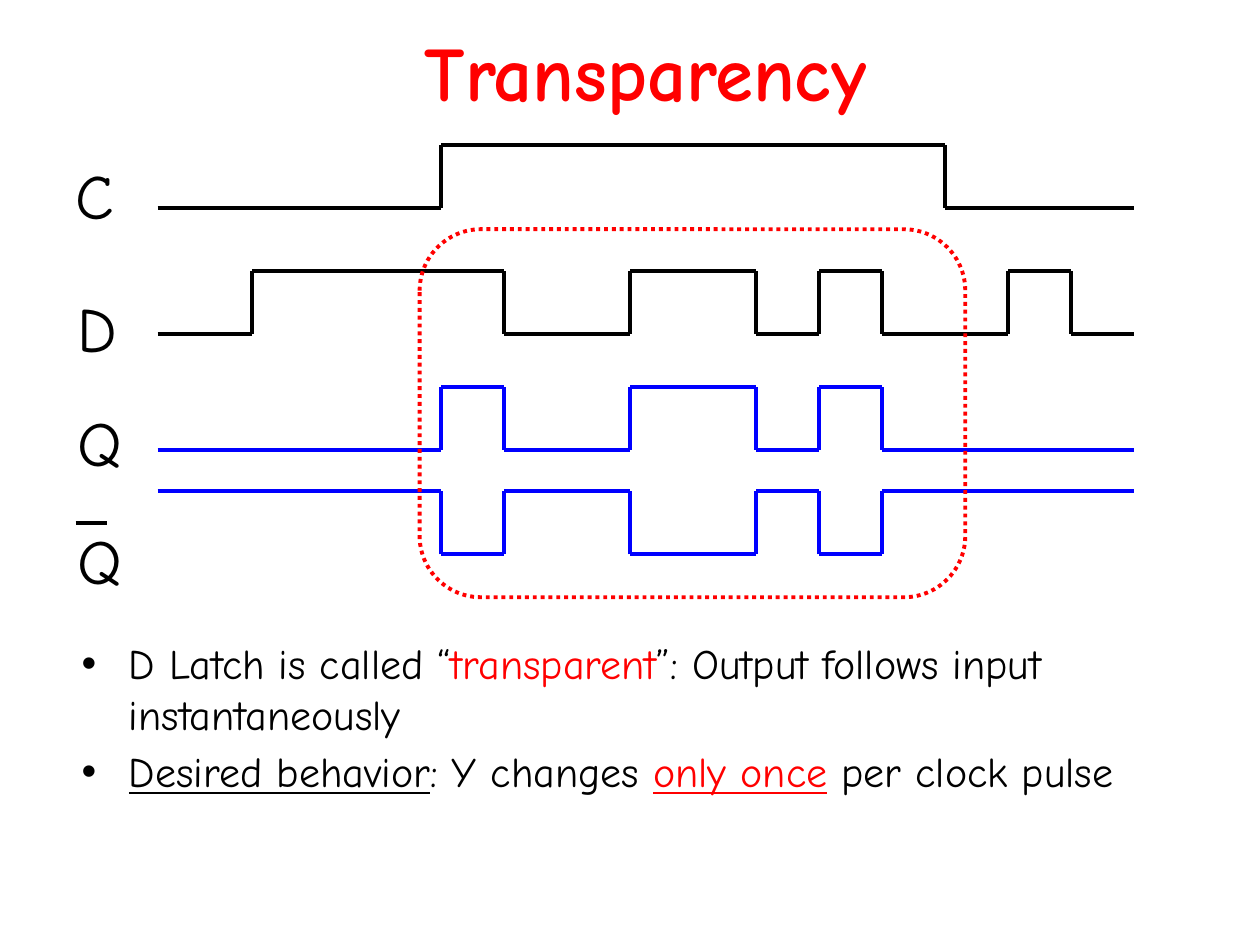
from dataclasses import dataclass
from itertools import pairwise
from lxml import etree
from pptx import Presentation
from pptx.dml.color import RGBColor as Rgb
from pptx.enum import dml, shapes as sh, text as tx
from pptx.oxml import ns
from pptx.util import Pt


@dataclass(frozen=True)
class Theme:
    font: str = "Comic Neue"
    ink: Rgb = Rgb(0, 0, 0)
    red: Rgb = Rgb(255, 0, 0)
    blue: Rgb = Rgb(0, 0, 255)
    head: int = 44
    label: int = 36
    body: int = 24
    line: float = 2.25


T = Theme()


def style(font, size, color):
    font.name, font.size = T.font, Pt(size)
    font.color.rgb = color


def frame(host, box, wrap=True):
    area = host.add_textbox(*map(Pt, box)).text_frame
    area.word_wrap = wrap
    return area


def stroke(host, x1, y1, x2, y2, color):
    line = host.add_connector(sh.MSO_CONNECTOR.STRAIGHT, *map(Pt, (x1, y1, x2, y2)))
    line.line.color.rgb = color
    line.line.width = Pt(T.line)
    etree.SubElement(line._element.spPr, ns.qn("a:effectLst"))


def title(host, box, words):
    area = frame(host, box)
    area.vertical_anchor = tx.MSO_ANCHOR.MIDDLE
    para = area.paragraphs[0]
    para.text = words
    para.alignment = tx.PP_ALIGN.CENTER
    style(para.font, T.head, T.red)
    para.font.bold = True


def label(host, box, name):
    area = frame(host, box, False)
    area.auto_size = tx.MSO_AUTO_SIZE.SHAPE_TO_FIT_TEXT
    para = area.paragraphs[0]
    para.text = name
    style(para.font, T.label, T.ink)


def barred(host, box, name):
    group = host.add_group_shape().shapes
    label(group, box, name)
    left, top = box[0] + 5.8, box[1] + 4.3
    stroke(group, left, top, left + 18, top, T.ink)


def wave(host, box, edges, color, high=False):
    left, top, width, height = box
    levels = (top + height, top)
    stops = [left, *(edge * 72 for edge in edges), left + width]
    for start, end in pairwise(stops):
        stroke(host, start, levels[high], end, levels[high], color)
        if end != stops[-1]:
            stroke(host, end, levels[0], end, levels[1], color)
        high = not high


def window(host, box):
    shape = host.add_shape(sh.MSO_SHAPE.ROUNDED_RECTANGLE, *map(Pt, box))
    shape.shadow.inherit = False
    shape.adjustments[0] = 0.167
    shape.fill.background()
    shape.line.color.rgb = T.red
    shape.line.width = Pt(T.line)
    shape.line.dash_style = dml.MSO_LINE.ROUND_DOT


def bullets(host, box, items):
    area = frame(host, box)
    for num, item in enumerate(items):
        para = area.add_paragraph() if num else area.paragraphs[0]
        para.space_before = Pt(4)
        props = para._p.get_or_add_pPr()
        props.set("marL", str(Pt(27)))
        props.set("indent", str(-Pt(27)))
        etree.SubElement(props, ns.qn("a:buFont")).set("typeface", "Arial")
        etree.SubElement(props, ns.qn("a:buChar")).set("char", "•")
        for words, color, under in item:
            run = para.add_run()
            run.text = words
            style(run.font, T.body, color)
            run.font.underline = under


def timing(host, box):
    left, top, width, height = box
    pulses = (3.5, 4, 5, 6, 6.5, 7)
    rows = (
        ("C", label, 36, 3, 0, (3.5, 7.5), T.ink, False),
        ("D", label, 37.4, 79.2, 72, (2, 4, 5, 6, 6.5, 7, 8, 8.5), T.ink, False),
        ("Q", label, 37.4, 144, 138.2, pulses, T.blue, False),
        ("Q", barred, 37.4, 211.7, 198, pulses, T.blue, True),
    )
    for name, draw, near, drop, level, edges, color, high in rows:
        draw(host, (near, top + drop, 36, 36.7), name)
        wave(host, (left, top + level, width, 36), edges, color, high)
    window(host, (left + 149.8, top + 48.2, 311.8, height - 48.2))


def main():
    deck = Presentation()
    deck.slide_width, deck.slide_height = Pt(720), Pt(540)
    host = deck.slides.add_slide(deck.slide_layouts[6]).shapes
    title(host, (56, 0, 626, 80.6), "Transparency")
    timing(host, (90, 82.8, 558, 258.5))
    bullets(host, (39.6, 361, 612, 131), (
        (("D Latch is called “", T.ink, False),
         ("transparent", T.red, False),
         ("”: Output follows input instantaneously", T.ink, False)),
        (("Desired behavior", T.ink, True),
         (": Y changes ", T.ink, False),
         ("only once", T.red, True),
         (" per clock pulse", T.ink, False)),
    ))
    deck.save("out.pptx")


main()
